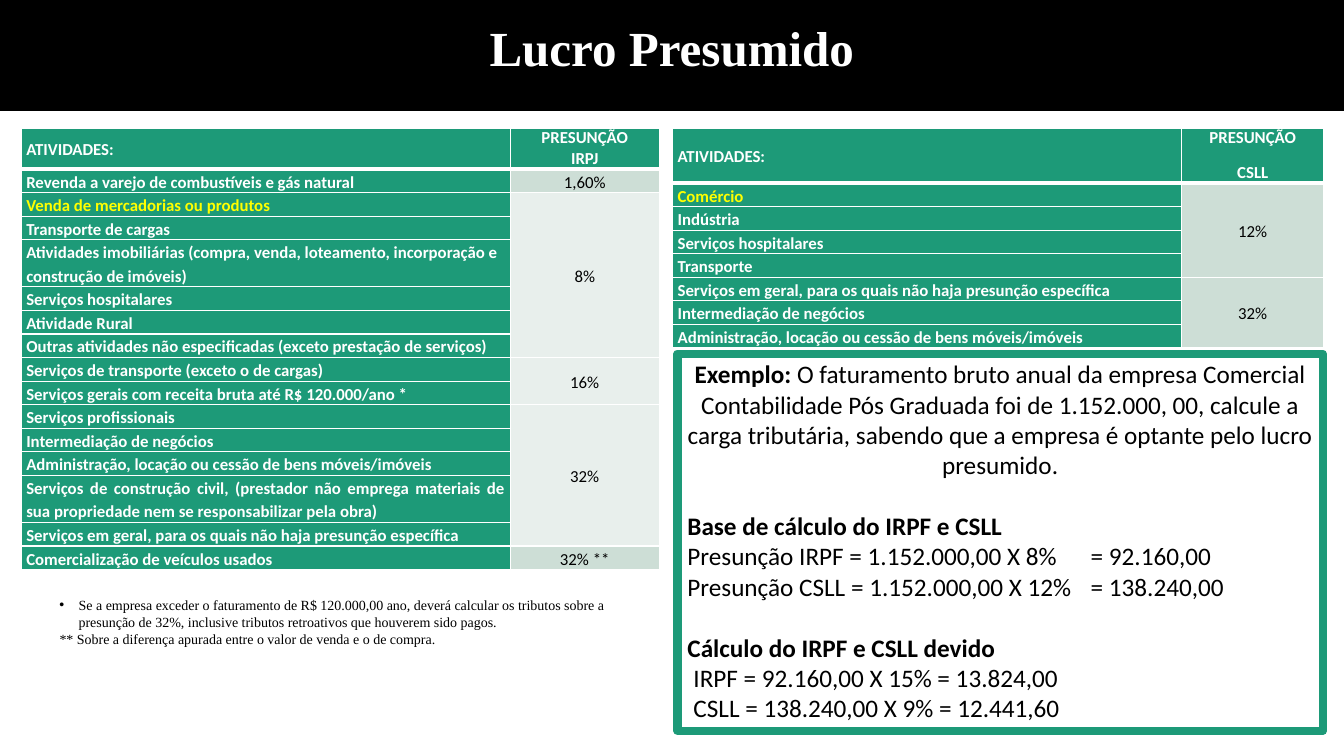
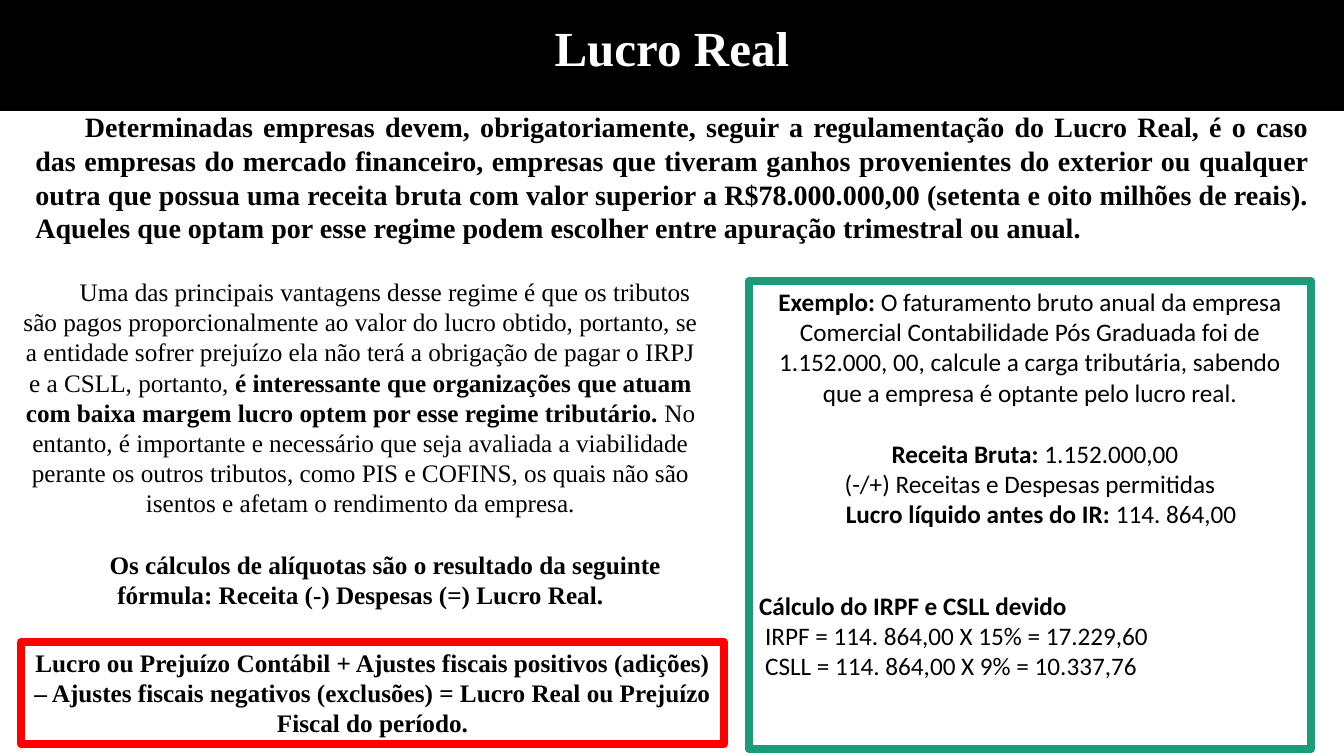
from lxml import etree
from pptx import Presentation
from pptx.dml.color import RGBColor
from pptx.enum.shapes import MSO_SHAPE
from pptx.enum.text import MSO_ANCHOR, MSO_AUTO_SIZE, PP_ALIGN
from pptx.oxml.ns import qn
from pptx.util import Emu, Inches, Pt

LEFT, CENTER, JUSTIFY = PP_ALIGN.LEFT, PP_ALIGN.CENTER, PP_ALIGN.JUSTIFY
TOP, MIDDLE = MSO_ANCHOR.TOP, MSO_ANCHOR.MIDDLE
RECTANGLE = MSO_SHAPE.RECTANGLE
NO_AUTO_SIZE = MSO_AUTO_SIZE.NONE

SLIDE_WIDTH, SLIDE_HEIGHT = Inches(13.33), Inches(7.5)
TITLE_AND_CONTENT = 1
SERIF, SANS = "Times New Roman", "Calibri"
BLACK, WHITE, GREEN, RED, YELLOW = "000000", "FFFFFF", "1D9A78", "FF0000", "FFFF00"
RATE_SHADES = ("E8EFEC", "CDDED6")
ROW_HEIGHT = 3.06
ONE_LINE_LENGTH = 70
BLANK_LINE = 22

HIGHLIGHTED = ("Venda de mercadorias ou produtos", "Comércio")
BUILDING_WORKS = (
    "Serviços de construção civil, (prestador não emprega materiais de sua "
    "propriedade nem se responsabilizar pela obra)"
)
GENERAL_SERVICES = "Serviços em geral, para os quais não haja presunção específica"
RENTAL = "Administração, locação ou cessão de bens móveis/imóveis"
BROKERAGE = "Intermediação de negócios"
HOSPITALS = "Serviços hospitalares"

IRPJ_GROUPS = [
    ("1,60%", ["Revenda a varejo de combustíveis e gás natural"]),
    ("8%", [
        "Venda de mercadorias ou produtos",
        "Transporte de cargas",
        "Atividades imobiliárias (compra, venda, loteamento, incorporação e construção de imóveis)",
        HOSPITALS,
        "Atividade Rural",
        "Outras atividades não especificadas (exceto prestação de serviços)",
    ]),
    ("16%", [
        "Serviços de transporte (exceto o de cargas)",
        "Serviços gerais com receita bruta até R$ 120.000/ano *",
    ]),
    ("32%", ["Serviços profissionais", BROKERAGE, RENTAL, BUILDING_WORKS, GENERAL_SERVICES]),
    ("32% **", ["Comercialização de veículos usados"]),
]
CSLL_GROUPS = [
    ("12%", ["Comércio", "Indústria", HOSPITALS, "Transporte"]),
    ("32%", [GENERAL_SERVICES, BROKERAGE, RENTAL]),
]


def color(value):
    return RGBColor.from_string(value)


def across(percent):
    return Emu(round(SLIDE_WIDTH * percent / 100))


def down(percent):
    return Emu(round(SLIDE_HEIGHT * percent / 100))


def area(left, top, width, height):
    return across(left), down(top), across(width), down(height)


def write(paragraph, text, size=18, font=SANS, fill=BLACK, bold=False, align=LEFT,
          before=0, after=0, spacing=1.0, margin=0, indent=0, bullet=None, tab=None):
    """Text between vertical bars is bold."""
    properties = paragraph._p.get_or_add_pPr()
    properties.set("marL", str(Inches(margin)))
    properties.set("indent", str(Inches(indent)))
    paragraph.alignment = align
    paragraph.space_before, paragraph.space_after = Pt(before), Pt(after)
    paragraph.line_spacing = spacing
    if bullet:
        etree.SubElement(properties, qn("a:buChar")).set("char", bullet)
    else:
        etree.SubElement(properties, qn("a:buNone"))
    if tab:
        stop = etree.SubElement(etree.SubElement(properties, qn("a:tabLst")), qn("a:tab"))
        stop.set("pos", str(Inches(tab)))
        stop.set("algn", "l")
    for position, part in enumerate(text.split("|")):
        if part:
            run = paragraph.add_run()
            run.text = part
            run.font.name, run.font.size = font, Pt(size)
            run.font.bold = bold or position % 2 == 1
            run.font.color.rgb = color(fill)


def write_all(frame, paragraphs, anchor=TOP, **shared):
    frame.word_wrap = True
    frame.auto_size = NO_AUTO_SIZE
    frame.vertical_anchor = anchor
    for position, (text, details) in enumerate(paragraphs):
        paragraph = frame.add_paragraph() if position else frame.paragraphs[0]
        write(paragraph, text, **{**shared, **details})


def place(shape, bounds):
    shape.left, shape.top, shape.width, shape.height = bounds


def add_titled_slide(presentation, title):
    slide = presentation.slides.add_slide(presentation.slide_layouts[TITLE_AND_CONTENT])
    band = slide.shapes.title
    place(band, area(0, 0, 100, 14.53))
    band.fill.solid()
    band.fill.fore_color.rgb = color(BLACK)
    band.line.color.rgb = color(BLACK)
    band.line.width = Pt(1)
    band.text_frame.margin_top, band.text_frame.margin_bottom = 0, down(2.13)
    write_all(band.text_frame, [(title, {})], anchor=MIDDLE, size=35, font=SERIF,
              fill=WHITE, bold=True, align=CENTER)
    return slide


def fill_body(slide, bounds, paragraphs, **shared):
    body = slide.placeholders[1]
    place(body, bounds)
    write_all(body.text_frame, paragraphs, font=SERIF, align=JUSTIFY, **shared)


def add_frame(slide, bounds, outline, paragraphs, **shared):
    frame = slide.shapes.add_shape(RECTANGLE, *bounds)
    frame.shadow.inherit = False
    frame.fill.background()
    frame.line.color.rgb = color(outline)
    frame.line.width = Pt(6)
    etree.SubElement(frame.line._get_or_add_ln(), qn("a:round"))
    write_all(frame.text_frame, paragraphs, **shared)


def set_borders(cell, top, bottom):
    properties = cell._tc.get_or_add_tcPr()
    for side, width in (("L", 1), ("R", 1), ("T", top), ("B", bottom)):
        line = etree.SubElement(properties, qn("a:ln" + side))
        line.set("w", str(Pt(width)))
        fill = etree.SubElement(line, qn("a:solidFill"))
        etree.SubElement(fill, qn("a:srgbClr")).set("val", WHITE)


def fill_cell(table, row, column, background, paragraphs, **shared):
    cell = table.cell(row, column)
    set_borders(cell, top=3 if row == 1 else 1, bottom=3 if row == 0 else 1)
    cell.fill.solid()
    cell.fill.fore_color.rgb = color(background)
    cell.margin_left = cell.margin_right = Inches(0.05)
    cell.margin_top = cell.margin_bottom = 0
    cell.vertical_anchor = MIDDLE
    for position, text in enumerate(paragraphs):
        frame = cell.text_frame
        paragraph = frame.add_paragraph() if position else frame.paragraphs[0]
        write(paragraph, text, size=12, **shared)


def add_rate_table(slide, left, widths, tax, groups, header_height, header_gap):
    activities = [activity for _, members in groups for activity in members]
    heights = [header_height] + [
        ROW_HEIGHT * (2 if len(activity) > ONE_LINE_LENGTH else 1) for activity in activities
    ]
    bounds = area(left, 16.93, sum(widths), sum(heights))
    table = slide.shapes.add_table(len(heights), 2, *bounds).table
    for column, width in zip(table.columns, widths):
        column.width = across(width)
    for row, height in zip(table.rows, heights):
        row.height = down(height)
    header = {"fill": WHITE, "bold": True}
    fill_cell(table, 0, 0, GREEN, ["ATIVIDADES:"], spacing=1.15, **header)
    fill_cell(table, 0, 1, GREEN, ["PRESUNÇÃO", tax], align=CENTER, after=header_gap, **header)
    row = 1
    for rate, members in groups:
        first = row
        for activity in members:
            fill_cell(table, row, 0, GREEN, [activity], bold=True, spacing=1.15,
                      fill=YELLOW if activity in HIGHLIGHTED else WHITE,
                      align=JUSTIFY if activity == BUILDING_WORKS else LEFT)
            fill_cell(table, row, 1, RATE_SHADES[first % 2], [rate] if row == first else [],
                      align=CENTER, spacing=1.15)
            row += 1
        if len(members) > 1:
            table.cell(first, 1).merge(table.cell(row - 1, 1))


def example(regime):
    return (
        "|Exemplo:| O faturamento bruto anual da empresa Comercial Contabilidade Pós Graduada "
        "foi de 1.152.000, 00, calcule a carga tributária, sabendo que a empresa é optante "
        f"pelo lucro {regime}.",
        {"align": CENTER},
    )


def tax_due(irpf, csll, before):
    return [
        ("|Cálculo do IRPF e CSLL devido|", {"before": before}),
        (f"IRPF = {irpf}", {"margin": 0.06}),
        (f"CSLL = {csll}", {"margin": 0.06}),
    ]


def build_presumed_profit(presentation):
    slide = add_titled_slide(presentation, "Lucro Presumido")
    fill_body(slide, area(0, 78.27, 45.69, 8.13), [
        ("Se a empresa exceder o faturamento de R$ 120.000,00 ano, deverá calcular os tributos "
         "sobre a presunção de 32%, inclusive tributos retroativos que houverem sido pagos.",
         {"margin": 0.68, "indent": -0.19, "bullet": "•"}),
        ("** Sobre a diferença apurada entre o valor de venda e o de compra.", {"indent": 0.49}),
    ], size=10)
    add_rate_table(slide, 1.58, (36.38, 11.1), "IRPJ", IRPJ_GROUPS, 5.3, 0)
    add_rate_table(slide, 50.04, (37.88, 10.58), "CSLL", CSLL_GROUPS, 7.1, 10)
    add_frame(slide, area(50.41, 46.8, 48.01, 49.87), GREEN, [
        example("presumido"),
        ("|Base de cálculo do IRPF e CSLL|", {"before": BLANK_LINE}),
        ("Presunção IRPF = 1.152.000,00 X 8%\t= 92.160,00", {"tab": 3.86}),
        ("Presunção CSLL = 1.152.000,00 X 12%\t= 138.240,00", {"tab": 3.86}),
        *tax_due("92.160,00 X 15% = 13.824,00", "138.240,00 X 9% = 12.441,60", BLANK_LINE),
    ])


def build_real_profit(presentation):
    slide = add_titled_slide(presentation, "Lucro Real")
    fill_body(slide, area(1.88, 13.87, 96.25, 19.33), [
        ("Determinadas empresas devem, obrigatoriamente, seguir a regulamentação do Lucro Real, "
         "é o caso das empresas do mercado financeiro, empresas que tiveram ganhos provenientes "
         "do exterior ou qualquer outra que possua uma receita bruta com valor superior a "
         "R$78.000.000,00 (setenta e oito milhões de reais). Aqueles que optam por esse regime "
         "podem escolher entre apuração trimestral ou anual.", {}),
    ], size=20, bold=True, indent=0.49)
    add_frame(slide, area(55.74, 37.2, 41.79, 61.87), GREEN, [
        example("real"),
        ("|Receita Bruta: |1.152.000,00",
         {"align": CENTER, "before": BLANK_LINE, "margin": 0.1}),
        ("(-/+) Receitas e Despesas permitidas", {"align": CENTER}),
        ("|Lucro líquido antes do IR: |114. 864,00", {"align": CENTER, "margin": 0.22}),
        *tax_due("114. 864,00 X 15% = 17.229,60", "114. 864,00 X 9% = 10.337,76",
                 2 * BLANK_LINE),
    ])
    advantages = slide.shapes.add_textbox(*area(0.68, 35.87, 52.29, 45.73))
    write_all(advantages.text_frame, [
        ("Uma das principais vantagens desse regime é que os tributos são pagos "
         "proporcionalmente ao valor do lucro obtido, portanto, se a entidade sofrer prejuízo "
         "ela não terá a obrigação de pagar o IRPJ e a CSLL, portanto, |é interessante que "
         "organizações que atuam com baixa margem lucro optem por esse regime tributário.| No "
         "entanto, é importante e necessário que seja avaliada a viabilidade perante os outros "
         "tributos, como PIS e COFINS, os quais não são isentos e afetam o rendimento da "
         "empresa.", {}),
        ("|Os cálculos de alíquotas são o resultado da seguinte fórmula: Receita (-) Despesas "
         "(=) Lucro Real.|", {"before": BLANK_LINE}),
    ], font=SERIF, align=CENTER, indent=0.49)
    add_frame(slide, area(1.58, 84.93, 52.29, 13.47), RED, [
        ("Lucro ou Prejuízo Contábil + Ajustes fiscais positivos (adições) – Ajustes fiscais "
         "negativos (exclusões) = Lucro Real ou Prejuízo Fiscal do período.", {}),
    ], font=SERIF, bold=True, align=CENTER)


def main():
    presentation = Presentation()
    presentation.slide_width, presentation.slide_height = SLIDE_WIDTH, SLIDE_HEIGHT
    build_presumed_profit(presentation)
    build_real_profit(presentation)
    presentation.save("out.pptx")


if __name__ == "__main__":
    main()
